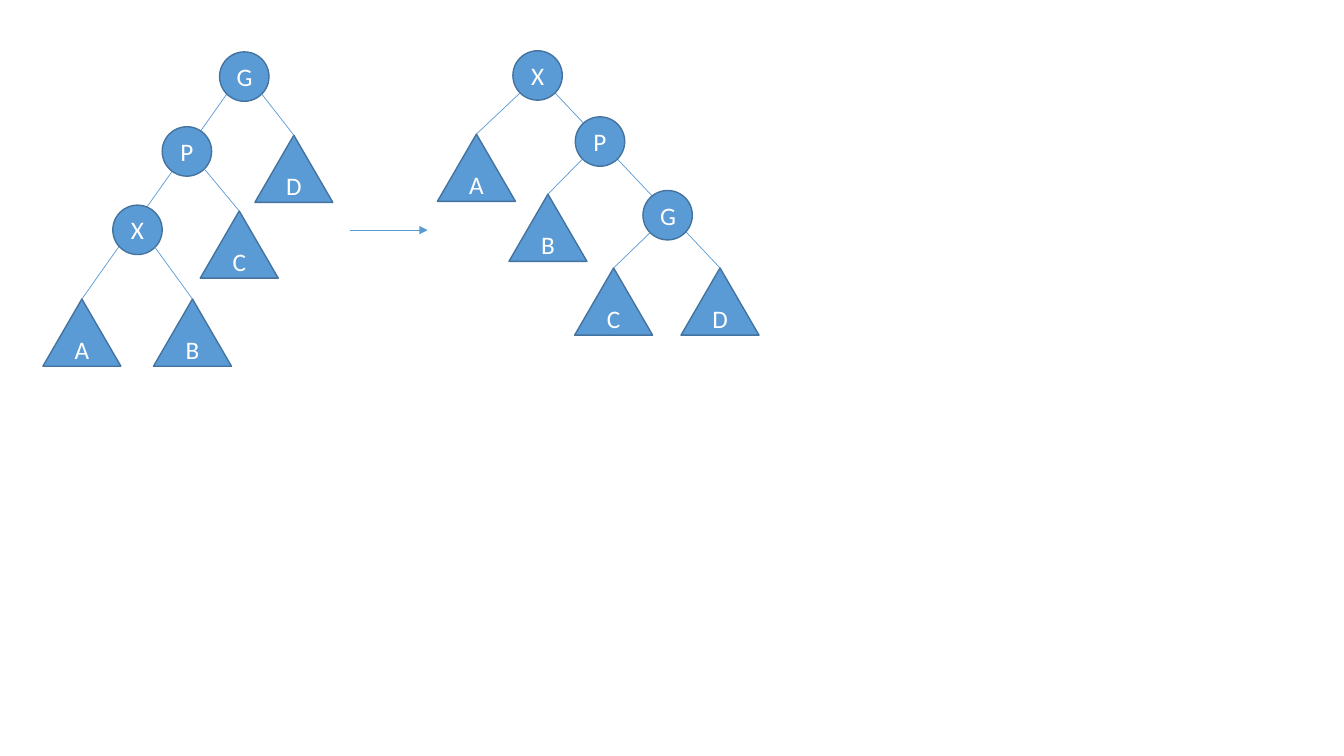
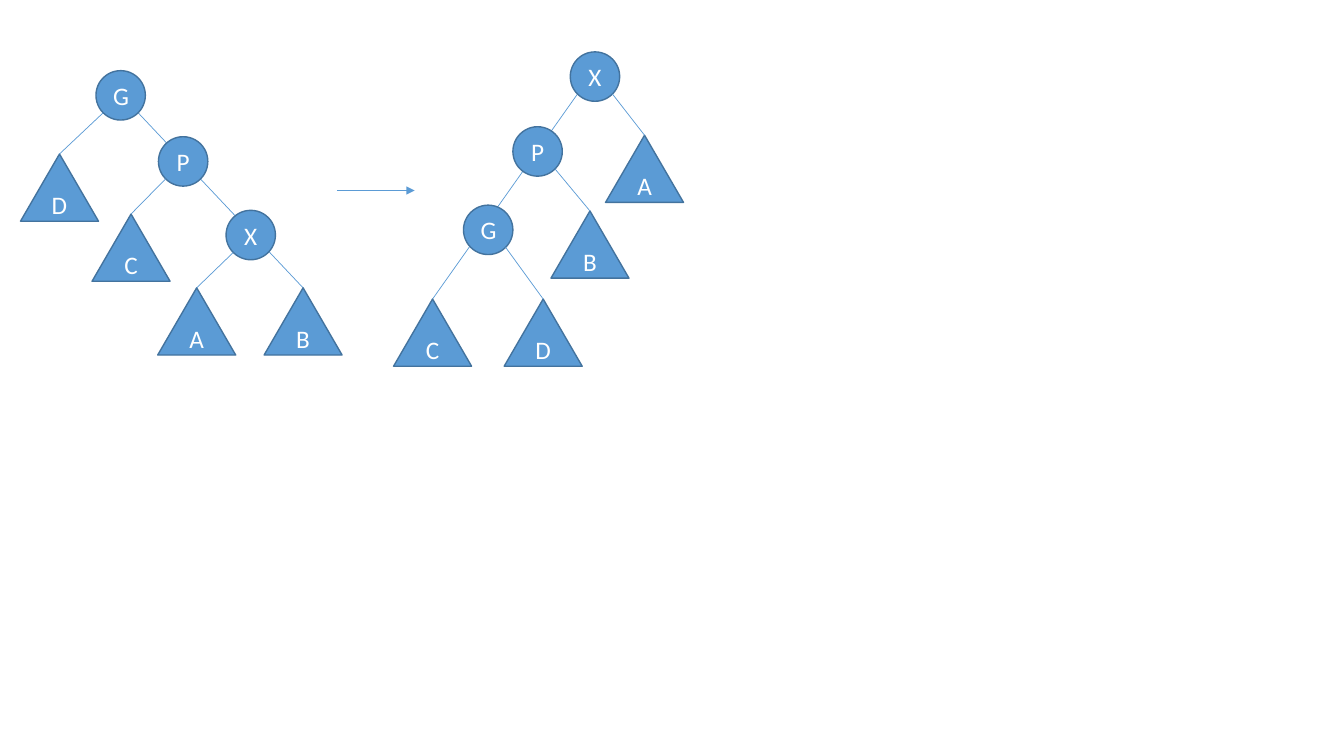
from dataclasses import dataclass
from math import sqrt
from pptx import Presentation
from pptx.dml.color import RGBColor
from pptx.enum.shapes import MSO_CONNECTOR as Connector, MSO_SHAPE as Preset
from pptx.enum.text import MSO_ANCHOR as Anchor, PP_ALIGN as Align
from pptx.oxml.ns import qn
from pptx.util import Pt
from lxml.etree import SubElement


@dataclass(frozen=True)
class Theme:
    fill: RGBColor = RGBColor(0x5B, 0x9B, 0xD5)
    outline: RGBColor = RGBColor(0x43, 0x73, 0x9E)
    text: RGBColor = RGBColor(0xFF, 0xFF, 0xFF)
    font: str = "Calibri"
    size: float = 18
    outline_width: float = 1
    edge_width: float = 0.5


@dataclass(frozen=True)
class Lean:
    side: int
    nodes: tuple
    leaves: tuple


THEME = Theme()
NODE_SIZE = 35.3
LEAF_WIDTH, LEAF_HEIGHT = 55.7, 48
ARROW_LENGTH = 55.5

LEFT = Lean(
    side=-1,
    nodes=((0, 0), (-41, 53.5), (-76.3, 109.5)),
    leaves=((35.4, 41.9), (-3.6, 96), (-37, 158.9), (-116, 158.9)),
)
RIGHT = Lean(
    side=1,
    nodes=((0, 0), (44.6, 47.2), (92.9, 99.8)),
    leaves=((-43.7, 41.9), (7.4, 84.8), (54.3, 137.5), (130.3, 137.5)),
)

ROTATIONS = [
    {
        "trees": [(LEFT, (174.5, 54.7), "GPX", "DCBA"),
                  (RIGHT, (384, 53.9), "XPG", "ABCD")],
        "arrow": (250, 164.4),
    },
    {
        "trees": [(RIGHT, (86.2, 68.1), "GPX", "DCAB"),
                  (LEFT, (425, 54.7), "XPG", "ABDC")],
        "arrow": (240.7, 136.1),
    },
]


def add_line(slide, start, end, arrow=False):
    line = slide.shapes.add_connector(
        Connector.STRAIGHT, *(Pt(value) for value in (*start, *end)))
    line.line.color.rgb = THEME.fill
    line.line.width = Pt(THEME.edge_width)
    if arrow:
        SubElement(line.line._get_or_add_ln(), qn("a:tailEnd"), type="triangle")
    SubElement(line._element.spPr, qn("a:effectLst"))


def add_label(slide, preset, text, left, top, width, height):
    shape = slide.shapes.add_shape(
        preset, *(Pt(value) for value in (left, top, width, height)))
    shape.shadow.inherit = False
    shape.fill.solid()
    shape.fill.fore_color.rgb = THEME.fill
    shape.line.color.rgb = THEME.outline
    shape.line.width = Pt(THEME.outline_width)
    frame = shape.text_frame
    frame.vertical_anchor = Anchor.MIDDLE
    paragraph = frame.paragraphs[0]
    paragraph.text = text
    paragraph.alignment = Align.CENTER
    paragraph.font.name = THEME.font
    paragraph.font.size = Pt(THEME.size)
    paragraph.font.color.rgb = THEME.text


def branch_start(node, side):
    reach = NODE_SIZE / 2 / sqrt(2)
    return node[0] + side * reach, node[1] + reach


def add_tree(slide, lean, root, node_names, leaf_names):
    def place(offsets):
        return [(root[0] + x, root[1] + y) for x, y in offsets]

    nodes, leaves = place(lean.nodes), place(lean.leaves)
    add_line(slide, branch_start(nodes[0], lean.side), leaves[-1])
    for name, (x, y) in zip(node_names, nodes):
        add_label(slide, Preset.OVAL, name, x - NODE_SIZE / 2,
                  y - NODE_SIZE / 2, NODE_SIZE, NODE_SIZE)
    for name, (x, y) in zip(leaf_names, leaves):
        add_label(slide, Preset.ISOSCELES_TRIANGLE, name, x - LEAF_WIDTH / 2,
                  y, LEAF_WIDTH, LEAF_HEIGHT)
    for node, leaf in zip(nodes, leaves):
        add_line(slide, branch_start(node, -lean.side), leaf)


presentation = Presentation()
presentation.slide_width, presentation.slide_height = Pt(960), Pt(540)
for rotation in ROTATIONS:
    slide = presentation.slides.add_slide(presentation.slide_layouts[6])
    for tree in rotation["trees"]:
        add_tree(slide, *tree)
    x, y = rotation["arrow"]
    add_line(slide, (x, y), (x + ARROW_LENGTH, y), arrow=True)
presentation.save("out.pptx")
